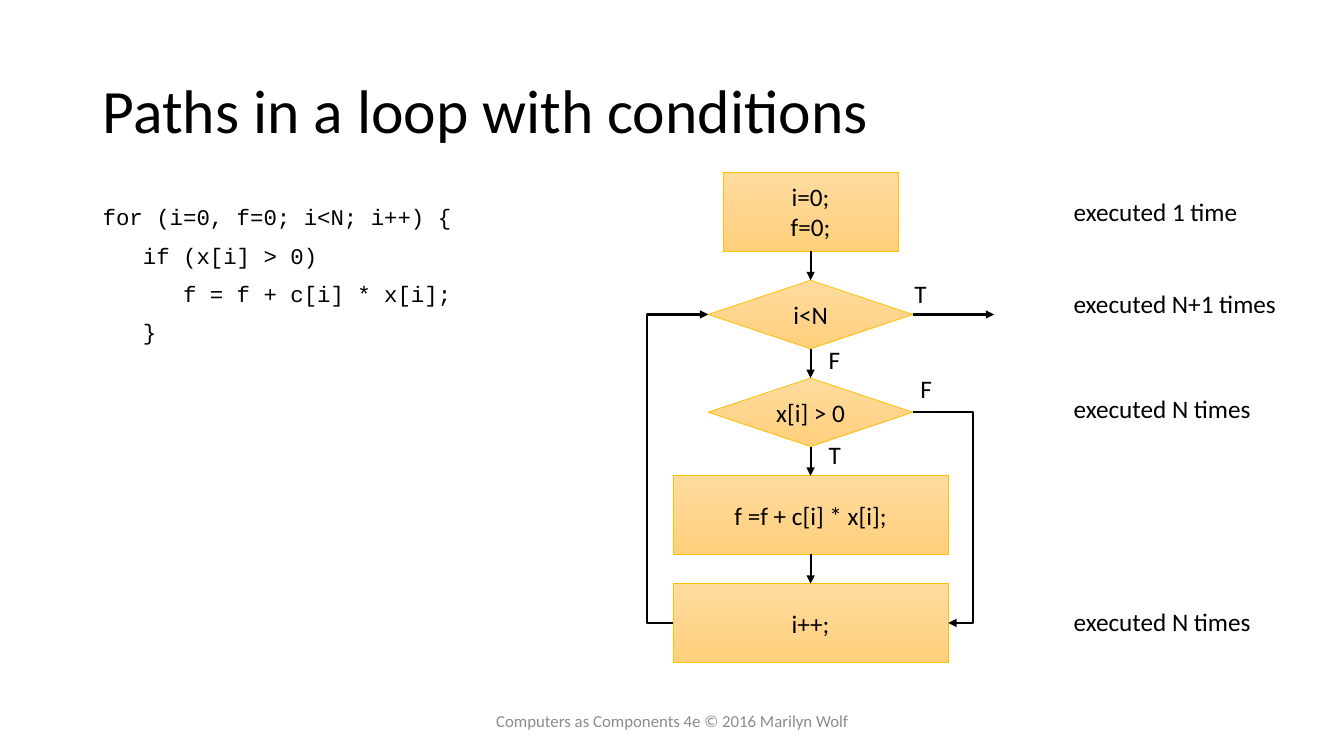
from dataclasses import dataclass

from lxml.etree import SubElement
from pptx import Presentation
from pptx.dml.color import RGBColor
from pptx.enum.shapes import MSO_CONNECTOR as Route, MSO_SHAPE as Outline
from pptx.enum.text import MSO_ANCHOR as Anchor, MSO_AUTO_SIZE as AutoSize, PP_ALIGN as Align
from pptx.oxml.ns import qn
from pptx.util import Pt

PX = 9144  # EMU: 100 px to the inch
TOP, LEFT, BOTTOM, RIGHT = range(4)  # connection sites


@dataclass(frozen=True)
class Theme:
    font: str = "Calibri"
    code_font: str = "Courier New"
    title_size: int = 44
    text_size: int = 18
    code_size: int = 16
    footer_size: int = 12
    ink: str = "000000"
    muted: str = "8C8C8C"
    node_line: str = "FFC000"
    node_top: str = "FFDB9E"
    node_bottom: str = "FFD07C"


class FlowSlide:
    def __init__(self, deck, theme):
        self.theme = theme
        self.page = deck.slides.add_slide(deck.slide_layouts[5])

    def add_lines(self, frame, lines, size=None, color=None, font=None,
                  align=Align.LEFT, spacing=1.0, before=0):
        theme = self.theme
        for index, line in enumerate(lines):
            para = frame.add_paragraph() if index else frame.paragraphs[0]
            para.alignment = align
            para.line_spacing = spacing
            para.space_before = Pt(before if index else 0)
            span = para.add_run()
            span.text = line
            span.font.name = font or theme.font
            span.font.size = Pt(size or theme.text_size)
            span.font.color.rgb = RGBColor.from_string(color or theme.ink)

    def title(self, text, left, top, width, height):
        box = self.page.shapes.title
        box.left, box.top, box.width, box.height = (
            side * PX for side in (left, top, width, height))
        box.text_frame.auto_size = AutoSize.NONE
        box.text_frame.vertical_anchor = Anchor.MIDDLE
        self.add_lines(box.text_frame, [text], self.theme.title_size, spacing=0.9)

    def text(self, lines, left, top, width, height, anchor=Anchor.TOP, wrap=True, **style):
        box = self.page.shapes.add_textbox(left * PX, top * PX, width * PX, height * PX)
        box.text_frame.word_wrap = wrap
        box.text_frame.vertical_anchor = anchor
        self.add_lines(box.text_frame, lines, **style)

    def label(self, text, left, top, width=32):
        self.text([text], left, top, width, 40, wrap=False)

    def node(self, outline, lines, center, top, width, height):
        theme = self.theme
        shape = self.page.shapes.add_shape(
            outline, round((center - width / 2) * PX), top * PX, width * PX, height * PX)
        shape.shadow.inherit = False
        shape.fill.gradient()
        shape.fill.gradient_angle = 270
        for stop, color in zip(shape.fill.gradient_stops, (theme.node_top, theme.node_bottom)):
            stop.color.rgb = RGBColor.from_string(color)
        shape.line.color.rgb = RGBColor.from_string(theme.node_line)
        shape.line.width = Pt(0.5)
        shape.text_frame.word_wrap = True
        shape.text_frame.vertical_anchor = Anchor.MIDDLE
        self.add_lines(shape.text_frame, lines, align=Align.CENTER)
        return shape

    def arrow(self, source, source_site, target=None, target_site=TOP, end=(0, 0), bend=None):
        """Join two nodes, or a node and a free end; bend is the x of an elbow's upright."""
        route = Route.STRAIGHT if bend is None else Route.ELBOW
        link = self.page.shapes.add_connector(route, 0, 0, end[0] * PX, end[1] * PX)
        link.begin_connect(source, source_site)
        if target is not None:
            link.end_connect(target, target_site)
        else:
            link.end_y = link.begin_y
        link.line.color.rgb = RGBColor.from_string(self.theme.ink)
        link.line.width = Pt(1.5)
        properties = link._element.spPr
        SubElement(properties.find(qn("a:ln")), qn("a:tailEnd"), type="triangle")
        SubElement(properties, qn("a:effectLst"))
        if bend is not None:
            ratio = (bend * PX - link.begin_x) / (link.end_x - link.begin_x)
            guides = properties.find(qn("a:prstGeom")).get_or_add_avLst()
            SubElement(guides, qn("a:gd"), name="adj1", fmla=f"val {round(ratio * 100000)}")


def main():
    deck = Presentation()
    deck.slide_width, deck.slide_height = 1333 * PX, 750 * PX
    theme = Theme()
    slide = FlowSlide(deck, theme)

    slide.title("Paths in a loop with conditions", 92, 40, 1150, 145)
    slide.text(
        ["for (i=0, f=0; i<N; i++) {",
         "   if (x[i] > 0)",
         "      f = f + c[i] * x[i];",
         "   }"],
        92, 200, 415, 476, size=theme.code_size, font=theme.code_font, spacing=0.9, before=10)
    slide.text(["Computers as Components 4e © 2016 Marilyn Wolf"], 442, 695, 450, 40,
               anchor=Anchor.MIDDLE, size=theme.footer_size, color=theme.muted,
               align=Align.CENTER)

    center, gap, top = 804, 29, 171
    steps = [
        (Outline.RECTANGLE, ["i=0;", "f=0;"], 174, 78),
        (Outline.DIAMOND, ["i<N"], 203, 68),
        (Outline.DIAMOND, ["x[i] > 0"], 203, 68),
        (Outline.RECTANGLE, ["f =f + c[i] * x[i];"], 273, 78),
        (Outline.RECTANGLE, ["i++;"], 273, 78),
    ]
    nodes = []
    for outline, lines, width, height in steps:
        nodes.append(slide.node(outline, lines, center, top, width, height))
        top += height + gap

    for upper, lower in zip(nodes, nodes[1:]):
        slide.arrow(upper, BOTTOM, lower, TOP)
    _, loop_test, value_test, _, increment = nodes
    slide.arrow(loop_test, RIGHT, end=(986, 312))
    slide.arrow(increment, LEFT, loop_test, LEFT, bend=642)
    slide.arrow(value_test, RIGHT, increment, RIGHT, bend=965)

    for branch, left, label_top in (("T", 897, 271), ("F", 812, 337),
                                    ("T", 812, 431), ("F", 903, 365)):
        slide.label(branch, left, label_top)
    for count, label_top, width in (("1 time", 190, 185), ("N+1 times", 281, 223),
                                    ("N times", 385, 198), ("N times", 597, 198)):
        slide.label(f"executed {count}", 1055, label_top, width)

    deck.save("out.pptx")


if __name__ == "__main__":
    main()
